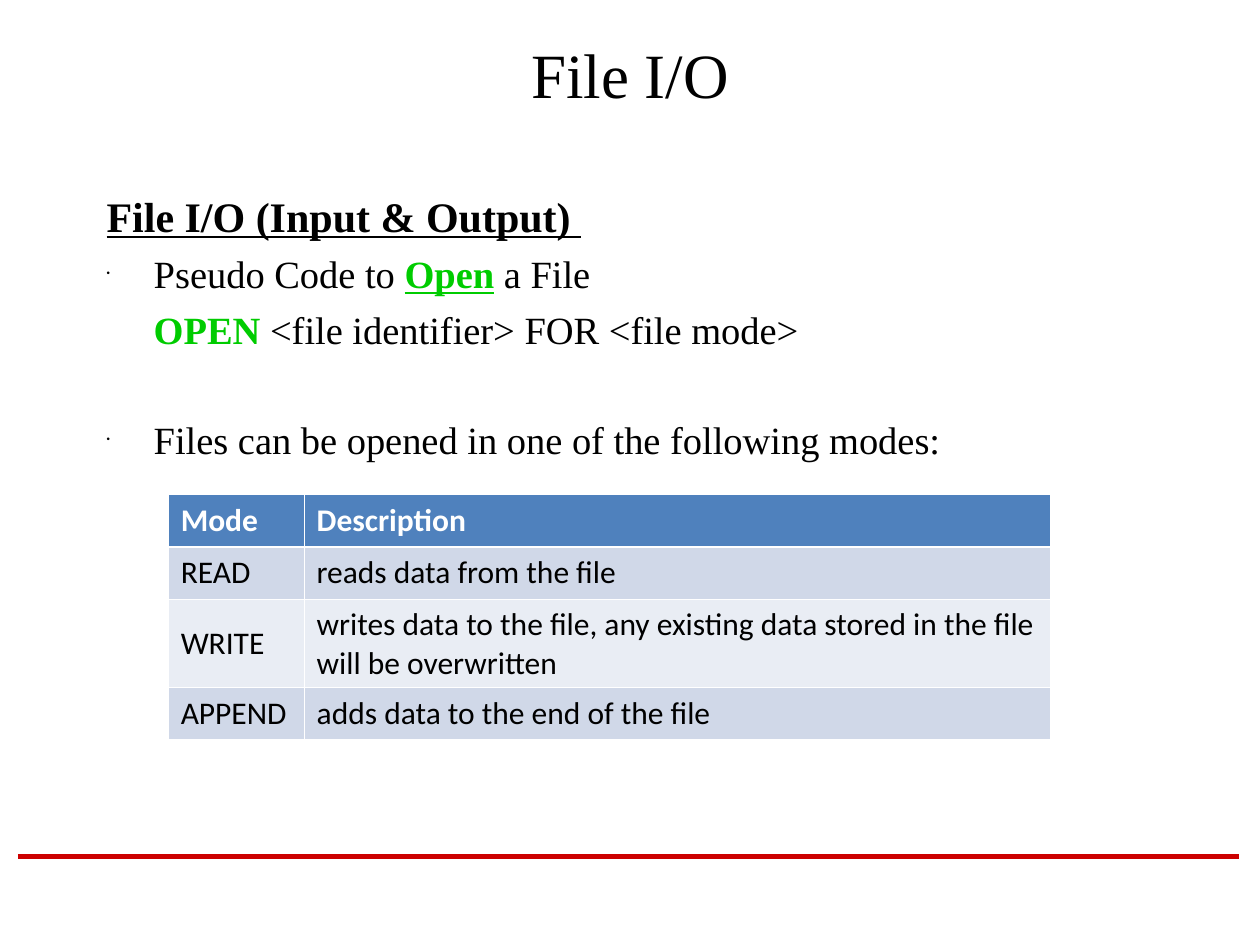
from lxml.etree import SubElement
from pptx import Presentation
from pptx.dml.color import RGBColor
from pptx.enum.shapes import MSO_CONNECTOR
from pptx.enum.text import MSO_ANCHOR, PP_ALIGN
from pptx.oxml import parse_xml
from pptx.oxml.ns import nsdecls, qn
from pptx.util import Cm, Pt

THEME = {
    "black": "000000", "white": "FFFFFF", "green": "00CC00", "red": "CC0000",
    "header": "4F81BD", "bands": ("D0D8E8", "E9EDF4"),
    "serif": "Times New Roman", "sans": "Calibri",
    "title": 36, "heading": 24, "body": 22, "cell": 18,
    "border": 0.45, "header_border": 1.47, "rule": 3,
}
INDENT = Cm(0.95)
GAP = 5.5
BLANK_LINE_GAP = 36.5

TITLE = "File I/O"
PLAIN = {}
KEYWORD = {"color": THEME["green"], "bold": True}
LINKED = {**KEYWORD, "underline": True}
HEADING = {"size": THEME["heading"], "bold": True, "underline": True}

# (style, space before, spans)
BODY = [
    ("heading", 0, [("File I/O (Input & Output) ", HEADING)]),
    ("bullet", GAP, [("Pseudo Code to ", PLAIN), ("Open", LINKED), (" a File", PLAIN)]),
    ("indented", GAP, [("OPEN", KEYWORD), (" <file identifier> FOR <file mode>", PLAIN)]),
    ("bullet", BLANK_LINE_GAP,
     [("Files can be opened in one of the following modes:", PLAIN)]),
]
MARGINS = {
    "heading": (INDENT, -INDENT),
    "bullet": (INDENT, -INDENT),
    "indented": (INDENT, 0),
}
MODES = [
    ("Mode", "Description"),
    ("READ", "reads data from the file"),
    ("WRITE", "writes data to the file, any existing data stored in the file "
              "will be overwritten"),
    ("APPEND", "adds data to the end of the file"),
]
COLUMN_WIDTHS = (2.74, 15.04)
ROW_HEIGHTS = (1.06, 1.06, 1.78, 1.05)


def add_span(para, text, size, font=THEME["serif"], color=THEME["black"],
             bold=False, underline=False):
    span = para.add_run()
    span.text = text
    formats = {"name": font, "size": Pt(size), "bold": bold, "underline": underline}
    for name, value in formats.items():
        setattr(span.font, name, value)
    span.font.color.rgb = RGBColor.from_string(color)


def add_box(page, left, top, width, height, anchor):
    box = page.shapes.add_textbox(Cm(left), Cm(top), Cm(width), Cm(height))
    box.text_frame.word_wrap = True
    box.text_frame.vertical_anchor = anchor
    return box.text_frame


def add_bullet(properties):
    """Give the paragraph a small black bullet, a quarter of the text size."""
    color = SubElement(properties, qn("a:buClr"))
    SubElement(color, qn("a:srgbClr"), val=THEME["black"])
    SubElement(properties, qn("a:buSzPct"), val="25000")
    SubElement(properties, qn("a:buFont"), typeface="Arial")
    SubElement(properties, qn("a:buChar"), char="•")


def add_title(page):
    para = add_box(page, 1.9, 0.43, 21.6, 2.11, MSO_ANCHOR.MIDDLE).paragraphs[0]
    para.alignment = PP_ALIGN.CENTER
    add_span(para, TITLE, THEME["title"])


def add_body(page):
    frame = add_box(page, 1.9, 3.71, 22.43, 13.46, MSO_ANCHOR.TOP)
    for index, (style, gap, spans) in enumerate(BODY):
        para = frame.add_paragraph() if index else frame.paragraphs[0]
        properties = para._p.get_or_add_pPr()
        margin, indent = MARGINS[style]
        properties.set("marL", str(int(margin)))
        properties.set("indent", str(int(indent)))
        if style == "bullet":
            add_bullet(properties)
        para.space_before = Pt(gap)
        for text, formats in spans:
            add_span(para, text, **{"size": THEME["body"], **formats})


def set_borders(cell, row):
    """Draw white cell edges, thicker between the header and the first row."""
    thick_side = {0: "lnB", 1: "lnT"}.get(row)
    for position, side in enumerate(("lnL", "lnR", "lnT", "lnB")):
        width = THEME["header_border" if side == thick_side else "border"]
        edge = parse_xml(
            f'<a:{side} {nsdecls("a")} w="{Pt(width)}"><a:solidFill>'
            f'<a:srgbClr val="{THEME["white"]}"/></a:solidFill></a:{side}>')
        cell._tc.get_or_add_tcPr().insert(position, edge)


def add_modes_table(page):
    table = page.shapes.add_table(
        len(MODES), len(COLUMN_WIDTHS), Cm(3.39), Cm(9.96),
        Cm(sum(COLUMN_WIDTHS)), Cm(sum(ROW_HEIGHTS))).table
    for column, width in zip(table.columns, COLUMN_WIDTHS):
        column.width = Cm(width)
    for row, (texts, height) in enumerate(zip(MODES, ROW_HEIGHTS)):
        table.rows[row].height = Cm(height)
        header = row == 0
        fill = THEME["header"] if header else THEME["bands"][(row - 1) % 2]
        color = THEME["white" if header else "black"]
        for column, text in enumerate(texts):
            cell = table.cell(row, column)
            cell.vertical_anchor = MSO_ANCHOR.MIDDLE
            cell.fill.solid()
            cell.fill.fore_color.rgb = RGBColor.from_string(fill)
            set_borders(cell, row)
            add_span(cell.text_frame.paragraphs[0], text, THEME["cell"],
                     THEME["sans"], color, bold=header)


def add_rule(page):
    rule = page.shapes.add_connector(
        MSO_CONNECTOR.STRAIGHT, Cm(0.36), Cm(17.27), Cm(24.97), Cm(17.27))
    rule.line.color.rgb = RGBColor.from_string(THEME["red"])
    rule.line.width = Pt(THEME["rule"])
    SubElement(rule._element.spPr, qn("a:effectLst"))


def main():
    deck = Presentation()
    deck.slide_width, deck.slide_height = Cm(25.4), Cm(19.05)
    page = deck.slides.add_slide(deck.slide_layouts[6])
    add_rule(page)
    add_title(page)
    add_body(page)
    add_modes_table(page)
    deck.save("out.pptx")


if __name__ == "__main__":
    main()
